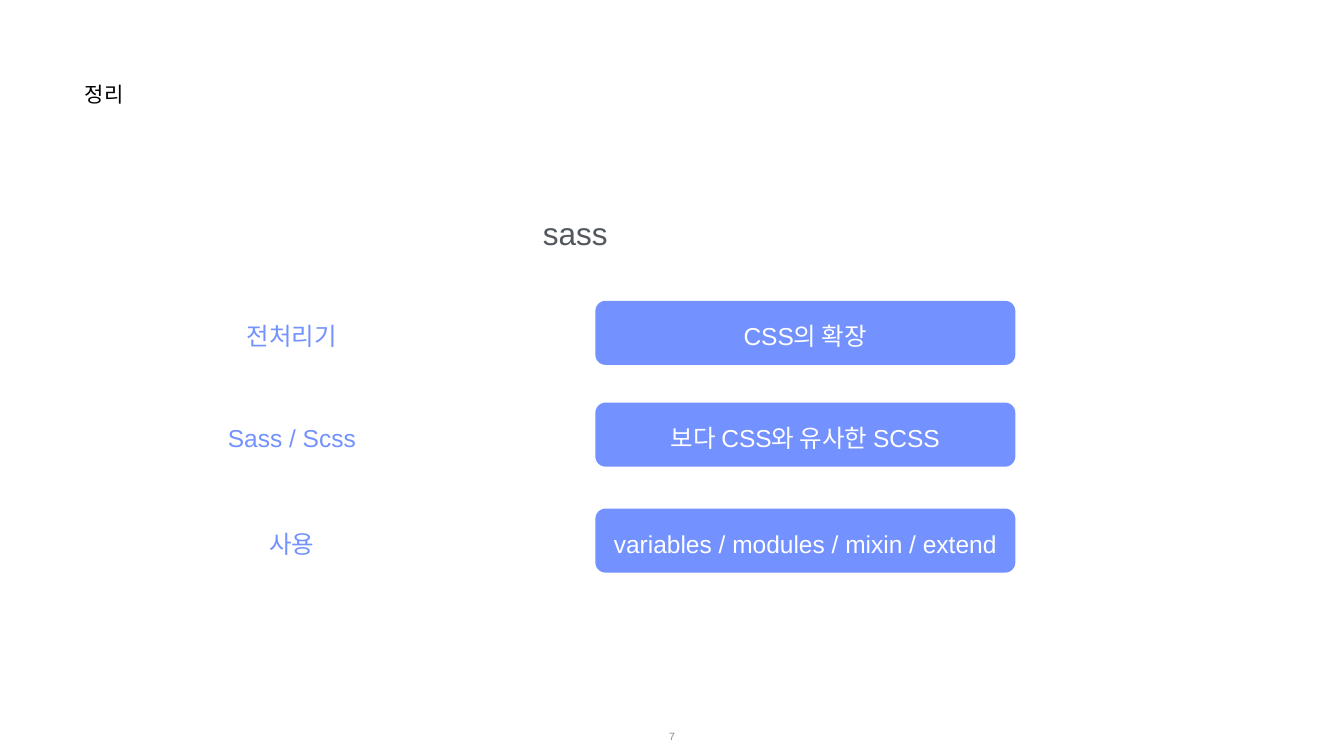
from pptx import Presentation
from pptx.dml.color import RGBColor
from pptx.enum import shapes, text
from pptx.util import Cm, Pt

# Content
TITLE = "정리"
TOPIC = "sass"
PAGE_NUMBER = "7"
ROWS = [  # top in cm, label, summary
    (15.16, "전처리기", "CSS의 확장"),
    (20.29, "Sass / Scss", "보다 CSS와 유사한 SCSS"),
    (25.63, "사용", "variables / modules / mixin / extend"),
]

# Style and layout, lengths in cm
COLORS = {"title": "000000", "topic": "53585F", "accent": "7391FF",
          "on_accent": "FFFFFF", "page": "888888"}
FONT = "Arial"
INSET = 0.03
LABEL_LEFT, LABEL_WIDTH, LABEL_HEIGHT = 6.77, 15.88, 1.57
BAR_LEFT, BAR_WIDTH, BAR_HEIGHT = 30, 21.16, 3.23
TEXT_DROP = 0.14  # row text sits slightly below the middle of its bar


def write(shape, words, size, color, align=text.PP_ALIGN.CENTER,
          anchor=text.MSO_ANCHOR.MIDDLE, top_inset=INSET):
    frame = shape.text_frame
    frame.word_wrap = True
    frame.vertical_anchor = anchor
    frame.margin_left = frame.margin_right = frame.margin_bottom = Cm(INSET)
    frame.margin_top = Cm(top_inset)
    paragraph = frame.paragraphs[0]
    paragraph.alignment = align
    run = paragraph.add_run()
    run.text = words
    run.font.name = FONT
    run.font.size = Pt(size)
    run.font.color.rgb = RGBColor.from_string(COLORS[color])


def add_text(slide, box, *args, **options):
    write(slide.shapes.add_textbox(*map(Cm, box)), *args, **options)


def add_bar(slide, top, words):
    bar = slide.shapes.add_shape(
        shapes.MSO_SHAPE.ROUNDED_RECTANGLE,
        Cm(BAR_LEFT), Cm(top), Cm(BAR_WIDTH), Cm(BAR_HEIGHT))
    bar.adjustments[0] = 0.16
    bar.shadow.inherit = False
    bar.fill.solid()
    bar.fill.fore_color.rgb = RGBColor.from_string(COLORS["accent"])
    bar.line.fill.background()
    write(bar, words, 35, "on_accent", top_inset=INSET + 2 * TEXT_DROP)


def main():
    presentation = Presentation()
    presentation.slide_width, presentation.slide_height = Cm(67.72), Cm(38.1)
    slide = presentation.slides.add_slide(presentation.slide_layouts[6])

    # Headings
    add_text(slide, (4.24, 4.06, 12.34, 3), TITLE, 30, "title",
             align=text.PP_ALIGN.LEFT, anchor=text.MSO_ANCHOR.TOP)
    add_text(slide, (6.71, 10.77, 44.55, 2), TOPIC, 45, "topic",
             anchor=text.MSO_ANCHOR.TOP)

    # Label and summary bar of each row
    for top, label, summary in ROWS:
        label_top = top + (BAR_HEIGHT - LABEL_HEIGHT) / 2 + TEXT_DROP
        add_text(slide, (LABEL_LEFT, label_top, LABEL_WIDTH, LABEL_HEIGHT),
                 label, 35, "accent")
        add_bar(slide, top, summary)

    # Page number
    add_text(slide, (26.24, 36.09, 15.24, 2), PAGE_NUMBER, 15, "page")

    presentation.save("out.pptx")


if __name__ == "__main__":
    main()
